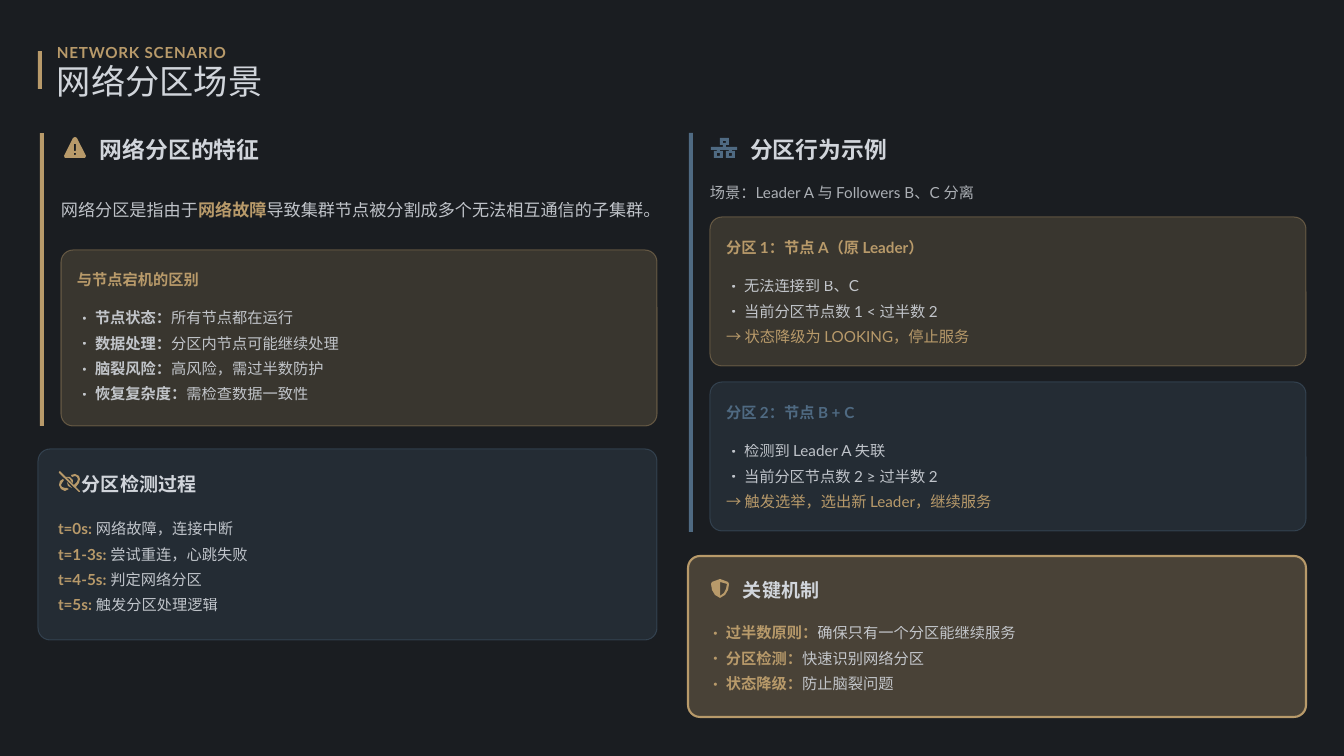
from pptx import Presentation
from pptx.dml.color import RGBColor
from pptx.enum.shapes import MSO_SHAPE as Kind
from pptx.enum.text import MSO_ANCHOR as Anchor
from pptx.oxml.ns import qn
from pptx.util import Pt
from lxml.etree import SubElement as Sub

PX = 12096
GOLD, BLUE, PALE = "B89A6A", "4F6A82", "D1D5DB"
CJK = "Noto Sans CJK SC"
LOOKS = {
    "gold": (GOLD, 100, False), "gold bold": (GOLD, 100, True),
    "blue bold": (BLUE, 100, True), "title": (PALE, 100, False),
    "head": (PALE, 100, True), "body": (PALE, 90, False),
    "label": (PALE, 90, True), "faint": (PALE, 80, False),
}

deck = Presentation()
deck.slide_width, deck.slide_height = 1344 * PX, 756 * PX
slide = deck.slides.add_slide(deck.slide_layouts[6])
shapes = slide.shapes


def paint(fill, color, alpha=100):
    fill.solid()
    fill.fore_color.rgb = RGBColor.from_string(color)
    if alpha < 100:
        tone = fill._xPr.find(qn("a:solidFill"))[0]
        Sub(tone, qn("a:alpha")).set("val", str(alpha * 1000))


def write(x, y, w, h, rows, size=14.5, lead=1.3, dots=0, face="Lato"):
    box = shapes.add_textbox(x * PX, y * PX, w * PX, h * PX)
    frame = box.text_frame
    frame.word_wrap = True
    frame.vertical_anchor = Anchor.MIDDLE
    frame.margin_left = frame.margin_right = 0
    frame.margin_top = frame.margin_bottom = 0
    for i, row in enumerate(rows):
        para = frame.paragraphs[0] if i == 0 else frame.add_paragraph()
        if i < dots:
            props = para._p.get_or_add_pPr()
            props.set("marL", str(18 * PX))
            props.set("indent", str(-18 * PX))
            Sub(props, qn("a:buFont")).set("typeface", CJK)
            Sub(props, qn("a:buChar")).set("char", "•")
        para.line_spacing = lead
        if i:
            para.space_before = Pt(1.6)
        for words, look in row:
            run = para.add_run()
            run.text = words
            color, alpha, bold = LOOKS[look]
            font = run.font
            font.size, font.bold = Pt(size), bold
            paint(font.fill, color, alpha)
            font.name = face
            Sub(run._r.get_or_add_rPr(), qn("a:ea")).set("typeface", CJK)
    return box


paint(slide.background.fill, "1A1D21")

for x, y, h, color in [(38, 51, 38, GOLD), (40, 133, 293, GOLD), (689, 133, 399, BLUE)]:
    bar = shapes.add_shape(Kind.RECTANGLE, x * PX, y * PX, 4 * PX, h * PX)
    bar.shadow.inherit = False
    paint(bar.fill, color)
    bar.line.fill.background()

for x, y, w, h, color, alpha, edge, width in [
    (61, 250, 596, 176, GOLD, 20, 40, 1),
    (38, 449, 619, 191, BLUE, 20, 40, 1),
    (710, 217, 596, 149, GOLD, 20, 40, 1),
    (710, 382, 596, 149, BLUE, 20, 40, 1),
    (688, 556, 618, 161, GOLD, 30, 100, 2),
]:
    panel = shapes.add_shape(Kind.ROUNDED_RECTANGLE, x * PX, y * PX, w * PX, h * PX)
    panel.adjustments[0] = 12 / h
    panel.shadow.inherit = False
    paint(panel.fill, color, alpha)
    paint(panel.line.fill, color, edge)
    panel.line.width = Pt(width)

alert = [
    [(73, 138), (75, 137), (77, 138), (86, 156), (85, 158), (65, 158), (64, 156)],
    [(74, 144), (76, 144), (76, 151), (74, 151)],
    [(74, 153), (76, 153), (76, 155), (74, 155)],
]
tree = [
    [(l, t), (r, t), (r, b), (l, b)]
    for l, t, r, b in [
        (720, 138, 729, 145), (723, 141, 726, 143), (723, 145, 726, 147),
        (711, 147, 737, 150), (717, 150, 720, 151), (729, 150, 732, 151),
        (714, 151, 723, 158), (717, 153, 720, 156),
        (726, 151, 735, 158), (729, 153, 732, 156),
    ]
]
chain = [
    [(59, 472), (60, 471), (80, 491), (80, 492), (79, 492), (59, 473)],
    [(71, 475), (75, 474), (79, 476), (80, 479), (79, 483), (76, 487),
     (74, 485), (77, 482), (78, 479), (77, 477), (75, 476), (72, 477)],
    [(66, 477), (70, 477), (73, 480), (73, 483), (71, 481), (70, 479)],
    [(63, 479), (64, 480), (62, 483), (61, 485), (62, 487), (65, 488),
     (67, 488), (69, 489), (65, 491), (61, 489), (59, 485), (60, 481)],
    [(67, 482), (72, 488), (68, 486)],
]
shield = [
    [(720, 579), (728, 582), (729, 584), (728, 590), (725, 595),
     (720, 598), (715, 595), (712, 590), (711, 584), (712, 582)],
    [(720, 582), (727, 584), (726, 589), (724, 593), (720, 596)],
]
for loops, color in [(alert, GOLD), (tree, BLUE), (chain, GOLD), (shield, GOLD)]:
    pen = shapes.build_freeform(*loops[0][0], scale=PX)
    pen.add_line_segments(loops[0][1:])
    for loop in loops[1:]:
        pen.move_to(*loop[0])
        pen.add_line_segments(loop[1:])
    icon = pen.convert_to_shape()
    icon.shadow.inherit = False
    paint(icon.fill, color)
    icon.line.fill.background()

tag = write(57, 38, 212, 23, [[("NETWORK SCENARIO", "gold bold")]])
tag.text_frame.paragraphs[0].runs[0]._r.get_or_add_rPr().set("spc", "70")
write(57, 64, 222, 38, [[("网络分区场景", "title")]], 32.6, 0.9, face=CJK)

for x, y, w, h, words, size, lead in [
    (100, 133, 171, 30, "网络分区的特征", 21.7, 1.1),
    (750, 133, 148, 30, "分区行为示例", 21.7, 1.1),
    (82, 469, 565, 26, "分区检测过程", 18.1, 1.2),
    (743, 575, 86, 26, "关键机制", 18.1, 1.2),
]:
    write(x, y, w, h, [[(words, "head")]], size, lead)

write(61, 178, 605, 56, [[
    ("网络分区是指由于", "body"), ("网络故障", "gold bold"),
    ("导致集群节点被分割成多个无法相互通信的子集群。", "body"),
]], 16.3, 1.4)
write(710, 178, 604, 23, [[("场景：Leader A 与 Followers B、C 分离", "faint")]])

write(77, 265, 572, 23, [[("与节点宕机的区别", "gold bold")]])
for x, y, w, h, look, dots, pairs in [
    (77, 296, 572, 114, "label", 4, [
        ("节点状态：", "所有节点都在运行"), ("数据处理：", "分区内节点可能继续处理"),
        ("脑裂风险：", "高风险，需过半数防护"), ("恢复复杂度：", "需检查数据一致性")]),
    (58, 507, 587, 114, "gold bold", 0, [
        ("t=0s:", " 网络故障，连接中断"), ("t=1-3s:", " 尝试重连，心跳失败"),
        ("t=4-5s:", " 判定网络分区"), ("t=5s:", " 触发分区处理逻辑")]),
    (708, 614, 585, 83, "gold bold", 3, [
        ("过半数原则：", "确保只有一个分区能继续服务"),
        ("分区检测：", "快速识别网络分区"), ("状态降级：", "防止脑裂问题")]),
]:
    write(x, y, w, h, [[(a, look), (b, "body")] for a, b in pairs], dots=dots)

for y, look, name, facts, result in [
    (233, "gold bold", "分区 1：节点 A（原 Leader）",
     ["无法连接到 B、C", "当前分区节点数 1 < 过半数 2"],
     "→ 状态降级为 LOOKING，停止服务"),
    (398, "blue bold", "分区 2：节点 B + C",
     ["检测到 Leader A 失联", "当前分区节点数 2 ≥ 过半数 2"],
     "→ 触发选举，选出新 Leader，继续服务"),
]:
    write(726, y, 572, 23, [[(name, look)]])
    rows = [[(fact, "body")] for fact in facts] + [[(result, "gold")]]
    write(726, y + 34, 572, 83, rows, dots=2)

deck.save("out.pptx")
